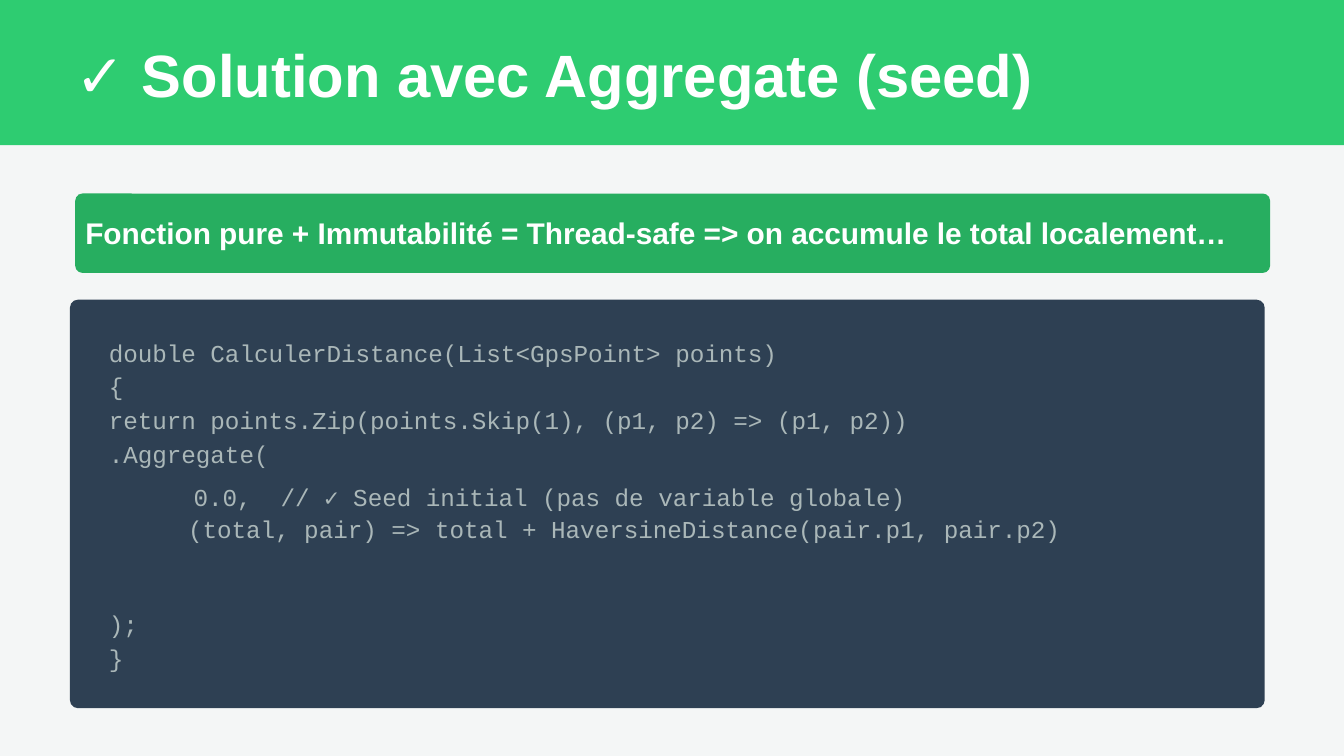
from dataclasses import dataclass

from pptx import Presentation
from pptx.dml.color import RGBColor
from pptx.enum.shapes import MSO_SHAPE
from pptx.enum.text import MSO_ANCHOR, PP_ALIGN
from pptx.slide import Slide
from pptx.util import Inches, Pt

WIDTH = 10
HEIGHT = WIDTH * 9 / 16
UNIT = WIDTH / 100


@dataclass(frozen=True)
class Theme:
    background: str = "F4F6F6"
    header: str = "2ECC71"
    banner: str = "27AE60"
    panel: str = "2E4053"
    light: str = "FFFFFF"
    code: str = "AAB7B8"
    sans: str = "Arial"
    mono: str = "Courier New"
    title_size: float = 32
    banner_size: float = 16
    code_size: float = 13
    code_spacing: float = 18.2


@dataclass(frozen=True)
class Box:
    col: float
    row: float
    cols: float
    rows: float

    def lengths(self) -> list[int]:
        return [Inches(n * UNIT) for n in (self.col, self.row, self.cols, self.rows)]


@dataclass(frozen=True)
class Panel:
    box: Box
    fill: str
    radius: float = 0


@dataclass(frozen=True)
class Style:
    font: str
    size: float
    color: str
    bold: bool = False
    align: PP_ALIGN = PP_ALIGN.LEFT
    spacing: float | None = None


@dataclass(frozen=True)
class CodeLine:
    line: float
    text: str
    col: float = 8.1


THEME = Theme()
TITLE = Style(THEME.sans, THEME.title_size, THEME.light, bold=True)
BANNER = Style(THEME.sans, THEME.banner_size, THEME.light, bold=True, align=PP_ALIGN.CENTER)
CODE = Style(THEME.mono, THEME.code_size, THEME.code, spacing=THEME.code_spacing)

PANELS = [
    Panel(Box(0, 0, 100, 10.8), THEME.header),
    Panel(Box(5.6, 14.4, 88.9, 5.9), THEME.banner, 0.09),
    Panel(Box(5.2, 22.3, 88.9, 30.4), THEME.panel, 0.02),
]

CODE_TOP, CODE_PITCH, CODE_COLS = 24.8, 2.5, 85.6
CODE_LINES = [
    CodeLine(0, "double CalculerDistance(List<GpsPoint> points)"),
    CodeLine(1, "{"),
    CodeLine(2, "return points.Zip(points.Skip(1), (p1, p2) => (p1, p2))"),
    CodeLine(3, ".Aggregate("),
    CodeLine(4.28, "0.0,  // ✓ Seed initial (pas de variable globale)", 14.4),
    CodeLine(5.24, "(total, pair) => total + HaversineDistance(", 14),
    CodeLine(5.24, "pair.p1, pair.p2)", 60.5),
    CodeLine(8.08, ");"),
    CodeLine(9.08, "}"),
]


def draw_panel(s: Slide, panel: Panel) -> None:
    kind = MSO_SHAPE.ROUNDED_RECTANGLE if panel.radius else MSO_SHAPE.RECTANGLE
    sp = s.shapes.add_shape(kind, *panel.box.lengths())
    if panel.radius:
        sp.adjustments[0] = panel.radius
    sp.shadow.inherit = False
    sp.fill.solid()
    sp.fill.fore_color.rgb = RGBColor.from_string(panel.fill)
    sp.line.fill.background()


def draw_text(s: Slide, box: Box, text: str, style: Style) -> None:
    tf = s.shapes.add_textbox(*box.lengths()).text_frame
    tf.word_wrap = True
    tf.vertical_anchor = MSO_ANCHOR.TOP
    tf.margin_left = tf.margin_right = tf.margin_top = tf.margin_bottom = 0
    p = tf.paragraphs[0]
    p.text = text
    p.alignment = style.align
    if style.spacing:
        p.line_spacing = Pt(style.spacing)
    p.font.name = style.font
    p.font.size = Pt(style.size)
    p.font.bold = style.bold
    p.font.color.rgb = RGBColor.from_string(style.color)


def draw_code(s: Slide, line: CodeLine) -> None:
    cols = min(CODE_COLS, 100 - line.col)
    box = Box(line.col, CODE_TOP + line.line * CODE_PITCH, cols, CODE_PITCH)
    draw_text(s, box, line.text, CODE)


def main() -> None:
    prs = Presentation()
    prs.slide_width, prs.slide_height = Inches(WIDTH), Inches(HEIGHT)
    s = prs.slides.add_slide(prs.slide_layouts[6])
    s.background.fill.solid()
    s.background.fill.fore_color.rgb = RGBColor.from_string(THEME.background)

    for panel in PANELS:
        draw_panel(s, panel)
    draw_text(s, Box(5.6, 2.8, 90.7, 5.2), "✓ Solution avec Aggregate (seed)", TITLE)
    draw_text(
        s,
        Box(5.2, 16, 87.3, 2.6),
        "Fonction pure + Immutabilité = Thread-safe => on accumule le total localement…",
        BANNER,
    )
    for line in CODE_LINES:
        draw_code(s, line)

    prs.save("out.pptx")


if __name__ == "__main__":
    main()
